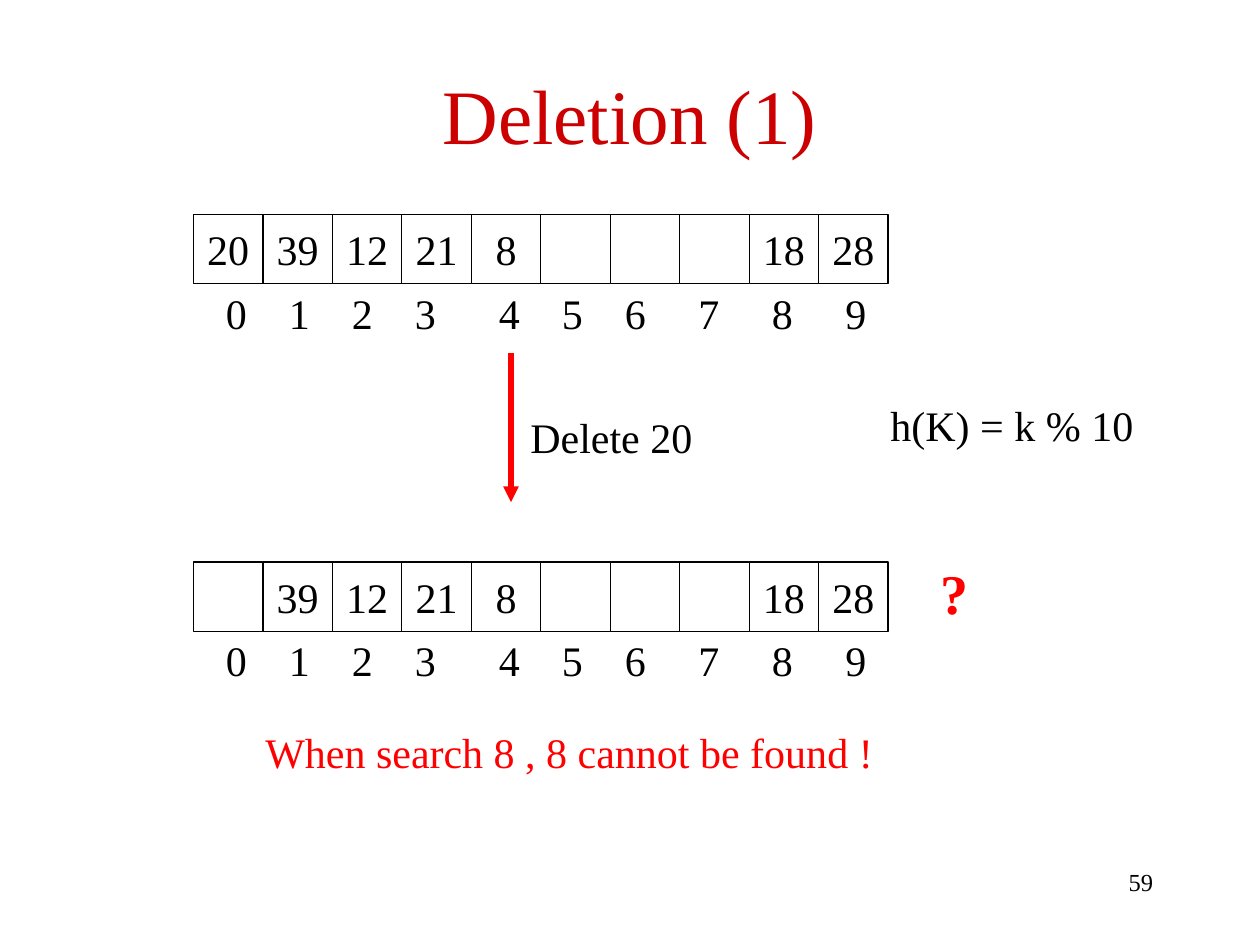
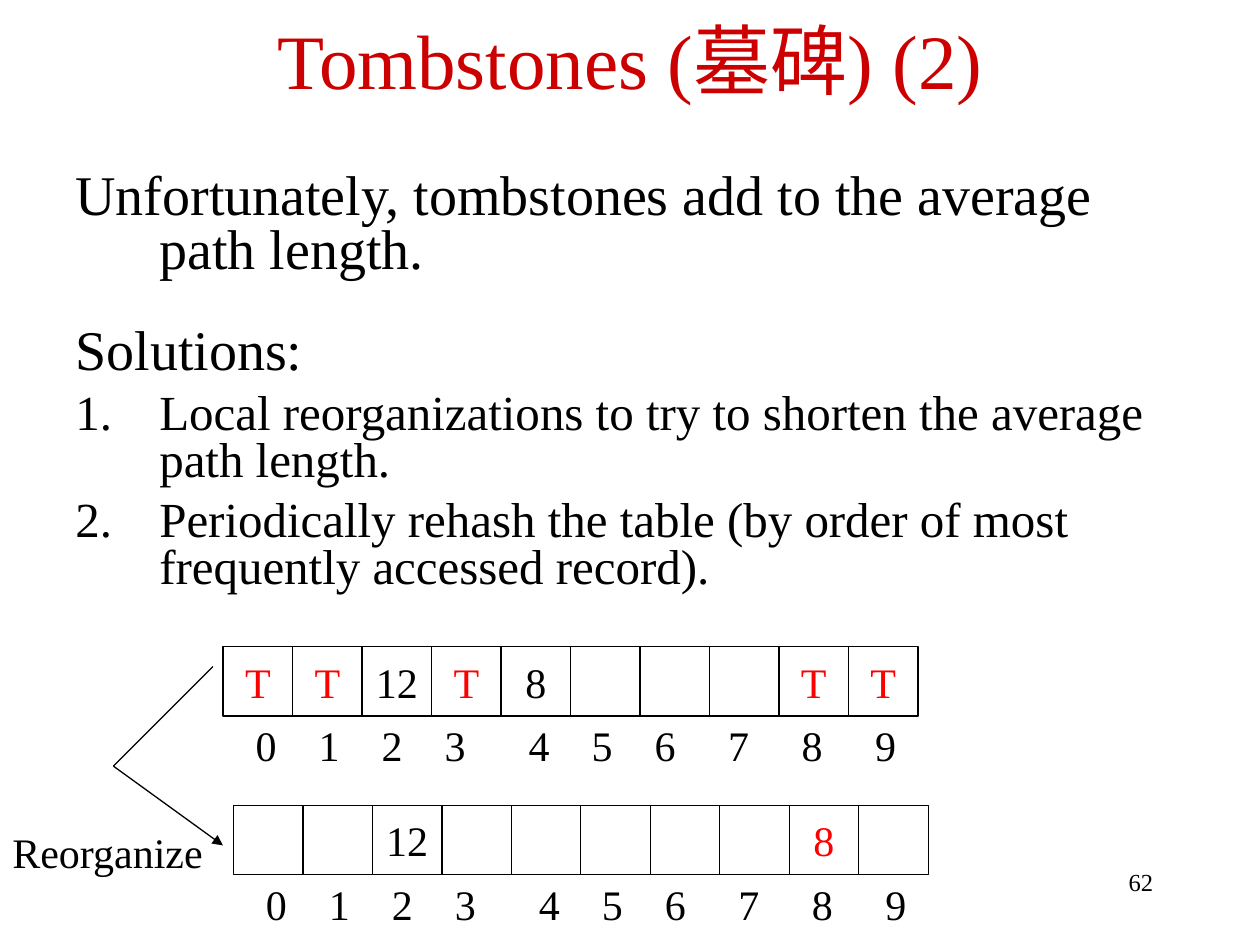
from dataclasses import dataclass
from itertools import accumulate

from lxml import etree
from pptx import Presentation
from pptx.dml.color import RGBColor
from pptx.enum import shapes, text
from pptx.oxml import ns
from pptx.util import Pt


@dataclass(frozen=True)
class Theme:
    font: str = "Times New Roman"
    title_color: str = "CC0000"
    ink: str = "000000"
    accent: str = "FF0000"
    paper: str = "FFFFFF"
    title_size: int = 44
    lead_size: int = 32
    item_size: int = 28
    label_size: int = 24
    page_size: int = 14


THEME = Theme()

# Content: positions are in points
DELETION = {
    "title": "Deletion (1)", "title_top": 28.8, "page": "59",
    # left, top, cell values, values shown in the accent colour
    "tables": [
        (110.5, 122.4, ["20", "39", "12", "21", "8", "", "", "", "18", "28"], ()),
        (110.5, 321.1, ["", "39", "12", "21", "8", "", "", "", "18", "28"], ()),
    ],
    # text, left, top, width, size, colour, bold
    "labels": [
        ("Delete 20", 296, 231.8, 107, THEME.label_size, THEME.ink, False),
        ("When search 8 , 8 cannot be found !", 144.5, 411.8, 362,
         THEME.label_size, THEME.accent, False),
        ("?", 530.2, 315.4, 30, THEME.lead_size, THEME.accent, True),
        ("h(K) = k % 10", 501.7, 224.6, 154, THEME.label_size, THEME.ink, False),
    ],
    # start, end, colour, width, arrowhead
    "lines": [((292, 202), (292, 287), THEME.accent, 3, True)],
}
TOMBSTONES = {
    "title": "Tombstones (墓碑) (2)", "title_top": -2.2, "page": "62",
    "tables": [
        (127.5, 369.4, ["T", "T", "12", "T", "8", "", "", "", "T", "T"], ("T",)),
        (133.4, 460.1, ["", "", "12", "", "", "", "", "", "8", ""], ("8",)),
    ],
    "labels": [("Reorganize", 0, 468.7, 124, THEME.label_size, THEME.ink, False)],
    "lines": [
        ((121.7, 380.9), (64.8, 437.8), THEME.ink, 0.75, False),
        ((64.8, 437.8), (127.4, 483.1), THEME.ink, 0.75, True),
    ],
}
# text, size, space before, numbered
SOLUTIONS = [
    ("Unfortunately, tombstones add to the average path length.",
     THEME.lead_size, 0, False),
    ("Solutions:", THEME.lead_size, 27, False),
    ("Local reorganizations to try to shorten the average path length.",
     THEME.item_size, 7, True),
    ("Periodically rehash the table (by order of most frequently accessed record).",
     THEME.item_size, 7, True),
]

CELL = 39.7
INDEX_OFFSET = (11.5, 38.2)
INDEX_STEPS = [36, 36, 36, 48, 36, 36, 42, 42, 42]
HANGING = 48


def format_runs(paragraph, size, color=THEME.ink, bold=False):
    for run in paragraph.runs:
        font = run.font
        font.name, font.size, font.bold = THEME.font, Pt(size), bold
        font.color.rgb = RGBColor.from_string(color)


def add_child(parent, tag, **attributes):
    return etree.SubElement(parent, ns.qn(tag), attributes)


def add_label(parent, label, left, top, width, size, color=THEME.ink,
              bold=False, wrap=False, height=36):
    box = parent.add_textbox(Pt(left), Pt(top), Pt(width), Pt(height))
    box.text_frame.word_wrap = wrap
    box.text_frame.text = label
    paragraph = box.text_frame.paragraphs[0]
    format_runs(paragraph, size, color, bold)
    return paragraph


def add_hash_table(slide, left, top, values, accented):
    group = slide.shapes.add_group_shape().shapes
    for column, value in enumerate(values):
        cell = group.add_shape(shapes.MSO_SHAPE.RECTANGLE, Pt(left + column * CELL),
                               Pt(top), Pt(CELL), Pt(CELL))
        cell.shadow.inherit = False
        cell.fill.solid()
        cell.fill.fore_color.rgb = RGBColor.from_string(THEME.paper)
        cell.line.color.rgb = RGBColor.from_string(THEME.ink)
        cell.line.width = Pt(0.75)
        if value:
            frame = cell.text_frame
            frame.word_wrap = False
            frame.vertical_anchor = text.MSO_ANCHOR.MIDDLE
            frame.text = value
            frame.paragraphs[0].alignment = text.PP_ALIGN.CENTER
            color = THEME.accent if value in accented else THEME.ink
            format_runs(frame.paragraphs[0], THEME.label_size, color)

    # Slot numbers on tab stops below the cells
    indexes = "\t".join(str(column) for column in range(len(values)))
    paragraph = add_label(group, indexes, left + INDEX_OFFSET[0], top + INDEX_OFFSET[1],
                          410, THEME.label_size, wrap=True)
    tabs = add_child(paragraph._p.get_or_add_pPr(), "a:tabLst")
    for position in accumulate(INDEX_STEPS):
        add_child(tabs, "a:tab", pos=str(Pt(position)), algn="l")


def add_line(slide, start, end, color, width, arrow):
    line = slide.shapes.add_connector(shapes.MSO_CONNECTOR.STRAIGHT,
                                      *(Pt(value) for value in start + end))
    line.line.color.rgb = RGBColor.from_string(color)
    line.line.width = Pt(width)
    if arrow:
        add_child(line.line._get_or_add_ln(), "a:tailEnd", type="triangle")
    add_child(line._element.spPr, "a:effectLst")


def add_solutions(slide):
    box = slide.shapes.add_textbox(Pt(36), Pt(95), Pt(648), Pt(360))
    frame = box.text_frame
    frame.word_wrap = True
    frame.text = "\n".join(row[0] for row in SOLUTIONS)
    for paragraph, (_, size, before, numbered) in zip(frame.paragraphs, SOLUTIONS):
        paragraph.line_spacing = 0.8
        paragraph.space_before = Pt(before)
        properties = paragraph._p.get_or_add_pPr()
        properties.set("marL", str(Pt(HANGING)))
        properties.set("indent", str(-Pt(HANGING)))
        if numbered:
            add_child(properties, "a:buFont", typeface=THEME.font)
            add_child(properties, "a:buAutoNum", type="arabicPeriod")
        format_runs(paragraph, size)


def add_slide(presentation, content):
    slide = presentation.slides.add_slide(presentation.slide_layouts[5])
    # Title and page number
    title = slide.shapes.title
    title.left, title.top = Pt(36), Pt(content["title_top"])
    title.width, title.height = Pt(648), Pt(72)
    frame = title.text_frame
    frame.text = content["title"]
    frame.auto_size = text.MSO_AUTO_SIZE.NONE
    frame.vertical_anchor = text.MSO_ANCHOR.MIDDLE
    frame.paragraphs[0].alignment = text.PP_ALIGN.CENTER
    format_runs(frame.paragraphs[0], THEME.title_size, THEME.title_color)
    page = add_label(slide.shapes, content["page"], 516, 492, 150,
                     THEME.page_size, wrap=True)
    page.alignment = text.PP_ALIGN.RIGHT

    # Diagram
    for table in content["tables"]:
        add_hash_table(slide, *table)
    for line in content["lines"]:
        add_line(slide, *line)
    for label in content["labels"]:
        add_label(slide.shapes, *label)
    return slide


def main():
    presentation = Presentation()
    presentation.slide_width, presentation.slide_height = Pt(720), Pt(540)
    add_slide(presentation, DELETION)
    add_solutions(add_slide(presentation, TOMBSTONES))
    presentation.save("out.pptx")


if __name__ == "__main__":
    main()
